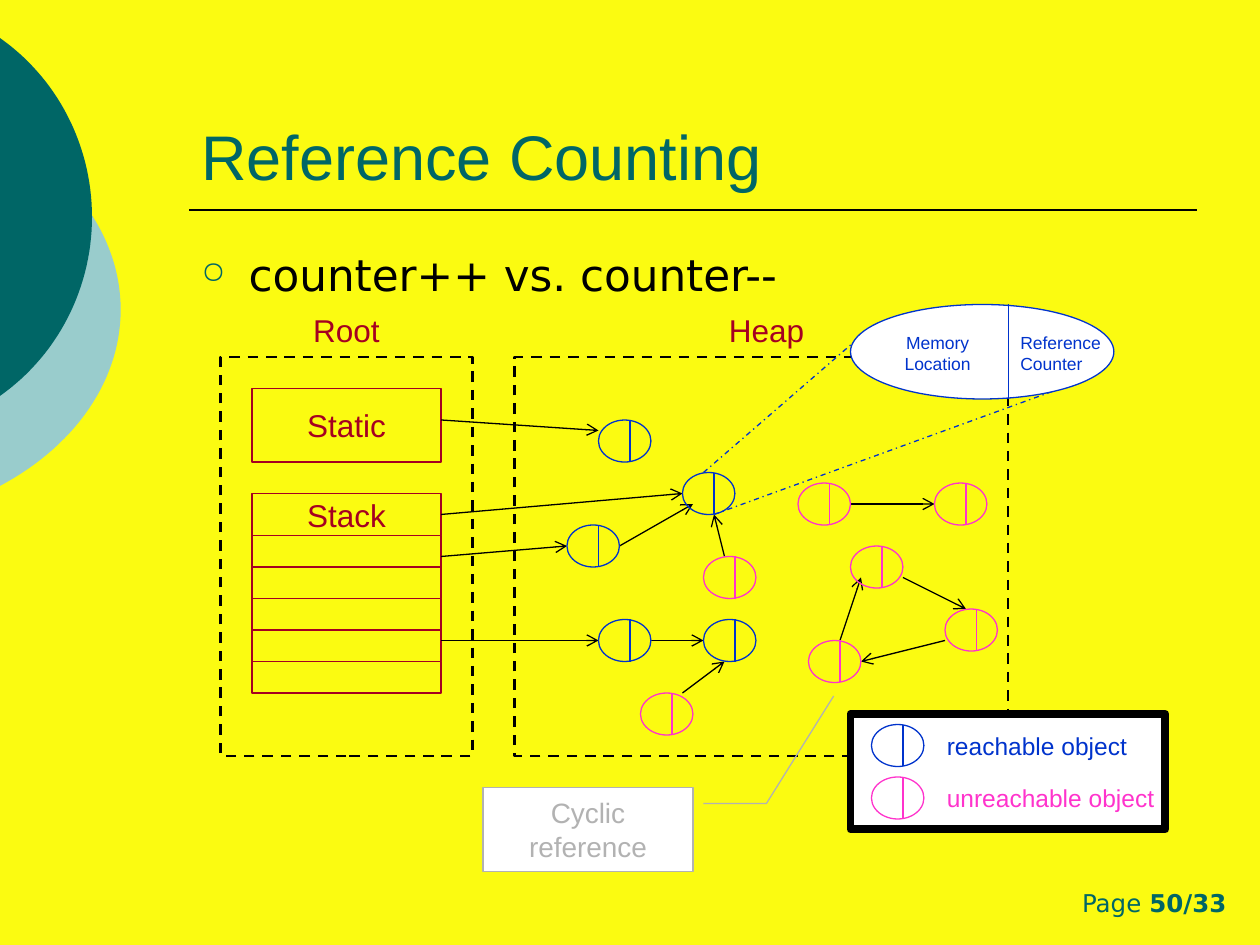
import math
from lxml import etree
from pptx import Presentation
from pptx.dml.color import RGBColor
from pptx.enum import dml, shapes, text
from pptx.oxml.ns import qn
from pptx.util import Pt

YELLOW = RGBColor(0xFB, 0xFB, 0x11)
TEAL = RGBColor(0x00, 0x66, 0x66)
LIGHT_TEAL = RGBColor(0x99, 0xCC, 0xCC)
BLACK = RGBColor(0x00, 0x00, 0x00)
WHITE = RGBColor(0xFF, 0xFF, 0xFF)
RED = RGBColor(0xA5, 0x00, 0x21)
BLUE = RGBColor(0x00, 0x33, 0xCC)
PINK = RGBColor(0xFF, 0x33, 0xCC)
GREY = RGBColor(0xB2, 0xB2, 0xB2)

RECT, OVAL = shapes.MSO_SHAPE.RECTANGLE, shapes.MSO_SHAPE.OVAL
CALLOUT = shapes.MSO_SHAPE.LINE_CALLOUT_2
DASH, DASH_DOT = dml.MSO_LINE.DASH, dml.MSO_LINE.DASH_DOT
LEFT, CENTER, RIGHT = text.PP_ALIGN.LEFT, text.PP_ALIGN.CENTER, text.PP_ALIGN.RIGHT
TOP, MIDDLE, BOTTOM = text.MSO_ANCHOR.TOP, text.MSO_ANCHOR.MIDDLE, text.MSO_ANCHOR.BOTTOM

prs = Presentation()
prs.slide_width, prs.slide_height = Pt(720), Pt(540)
s = prs.slides.add_slide(prs.slide_layouts[6])
s.background.fill.solid()
s.background.fill.fore_color.rgb = YELLOW


def outline(kind, box, color, width=0.75, fill=None, dash=None):
    sp = s.shapes.add_shape(kind, *map(Pt, box))
    sp.shadow.inherit = False
    if fill is None:
        sp.fill.background()
    else:
        sp.fill.solid()
        sp.fill.fore_color.rgb = fill
    sp.line.color.rgb = color
    sp.line.width = Pt(width)
    sp.line.dash_style = dash
    return sp


def connect(ends, color=BLACK, width=0.75, dash=None, arrow=False):
    c = s.shapes.add_connector(shapes.MSO_CONNECTOR.STRAIGHT, *map(Pt, ends))
    c.line.color.rgb = color
    c.line.width = Pt(width)
    c.line.dash_style = dash
    if arrow:
        etree.SubElement(c.line._get_or_add_ln(), qn("a:tailEnd"), type="arrow")
    etree.SubElement(c._element.spPr, qn("a:effectLst"))
    return c


# Ellipses cut off at the left edge of the slide: centre, radii, colour
for cx, cy, rx, ry, color in [(-93, 177, 162, 123, LIGHT_TEAL),
                              (-69, 124, 121.6, 124.2, TEAL)]:
    half = math.acos(-cx / rx)
    angles = [half * (i / 30 - 1) for i in range(61)]
    arc = [(Pt(cx + rx * math.cos(a)), Pt(cy + ry * math.sin(a))) for a in angles]
    fb = s.shapes.build_freeform(*arc[0])
    fb.add_line_segments(arc[1:])
    sp = fb.convert_to_shape()
    sp.shadow.inherit = False
    sp.fill.solid()
    sp.fill.fore_color.rgb = color
    sp.line.fill.background()

connect((108, 120, 684, 120), width=1)

# Root and heap areas
outline(RECT, (294, 204, 282, 228), BLACK, 1.5, dash=DASH)
outline(RECT, (126, 204, 144, 228), BLACK, 1.5, dash=DASH)
static = outline(RECT, (144, 222, 108, 42), RED)
stack = outline(RECT, (144, 282, 108, 24), RED)
for i in range(5):
    outline(RECT, (144, 306 + 18 * i, 108, 18), RED)

# References
for ends in [(252, 240, 342, 246), (252, 318, 324, 312), (252, 366, 342, 366),
             (354, 312, 396, 288), (480, 366, 492, 330), (516, 330, 552, 348),
             (540, 366, 492, 378), (372, 366, 402, 366), (390, 396, 414, 378),
             (414, 318, 408, 294), (486, 288, 534, 288)]:
    connect(ends, arrow=True)
connect((252, 294, 390, 282), arrow=True).begin_connect(stack, 3)
for ends in [(402, 270, 492, 192), (408, 294, 606, 222)]:
    connect(ends, BLUE, dash=DASH_DOT)

# Magnified object, callout and legend
outline(OVAL, (486, 174, 150.5, 54), BLUE, fill=WHITE)
connect((576.5, 174, 576.5, 228), BLUE)
cyclic = outline(CALLOUT, (276, 450, 120, 48), GREY, fill=WHITE)
for i, value in enumerate([0.19, 1.05, 0.19, 1.35, -1.09, 1.67]):
    cyclic.adjustments[i] = value
outline(RECT, (486, 408, 180, 66), BLACK, 4.5, WHITE)

# Objects; the last one of each colour is in the legend
objects = {
    BLUE: [(342, 240), (324, 300), (390, 270), (342, 354), (402, 354), (498, 414)],
    PINK: [(486, 312), (540, 348), (462, 366), (456, 276), (402, 318), (534, 276),
           (366, 396), (498, 444)],
}
for color, places in objects.items():
    for x, y in places:
        outline(OVAL, (x, y, 30, 24), color)
        connect((x + 18, y, x + 18, y + 24), color)

# Text: holder (a shape or a box), words, size, colour, alignment, anchor, font
SANS, MONO = "Arial", "DejaVu Sans"
labels = [
    ((108, 24, 576, 90), "Reference Counting", 36, TEAL, LEFT, BOTTOM, SANS),
    ((108, 138, 576, 354), "counter++ vs. counter--", 25, BLACK, LEFT, TOP, MONO),
    ((126, 174, 144, 29), "Root", 18, RED, CENTER, TOP, SANS),
    ((348, 174, 180, 29), "Heap", 18, RED, CENTER, TOP, SANS),
    (static, "Static", 18, RED, CENTER, MIDDLE, SANS),
    (stack, "Stack", 18, RED, CENTER, MIDDLE, SANS),
    (cyclic, "Cyclic reference", 16, GREY, CENTER, MIDDLE, SANS),
    ((498, 186, 75.5, 31), "Memory\nLocation", 10, BLUE, CENTER, TOP, SANS),
    ((576, 186, 75, 31), "Reference\nCounter", 10, BLUE, LEFT, TOP, SANS),
    ((534, 414, 138, 24), "reachable object", 14, BLUE, LEFT, TOP, SANS),
    ((534, 444, 138, 24), "unreachable object", 14, PINK, LEFT, TOP, SANS),
    ((546, 504, 162, 24), "Page ", 14, TEAL, RIGHT, TOP, MONO),
]
for holder, words, size, color, align, anchor, font in labels:
    if isinstance(holder, tuple):
        holder = s.shapes.add_textbox(*map(Pt, holder))
    tf = holder.text_frame
    tf.word_wrap = holder not in (static, stack)
    tf.vertical_anchor = anchor
    p = tf.paragraphs[0]
    p.text = words
    p.alignment = align
    if words.startswith("counter"):
        pPr = p._p.get_or_add_pPr()
        pPr.set("marL", str(Pt(27)))
        pPr.set("indent", str(-Pt(27)))
        bullet_color = etree.SubElement(pPr, qn("a:buClr"))
        etree.SubElement(bullet_color, qn("a:srgbClr"), val=str(TEAL))
        etree.SubElement(pPr, qn("a:buSzPct"), val="70000")
        etree.SubElement(pPr, qn("a:buChar"), char="○")
    if words.startswith("Page"):
        r = p.add_run()
        r.text = "50/33"
        r.font.bold = True
    for r in p.runs:
        for name, value in {"size": Pt(size), "name": font}.items():
            setattr(r.font, name, value)
        r.font.color.rgb = color

prs.save("out.pptx")
